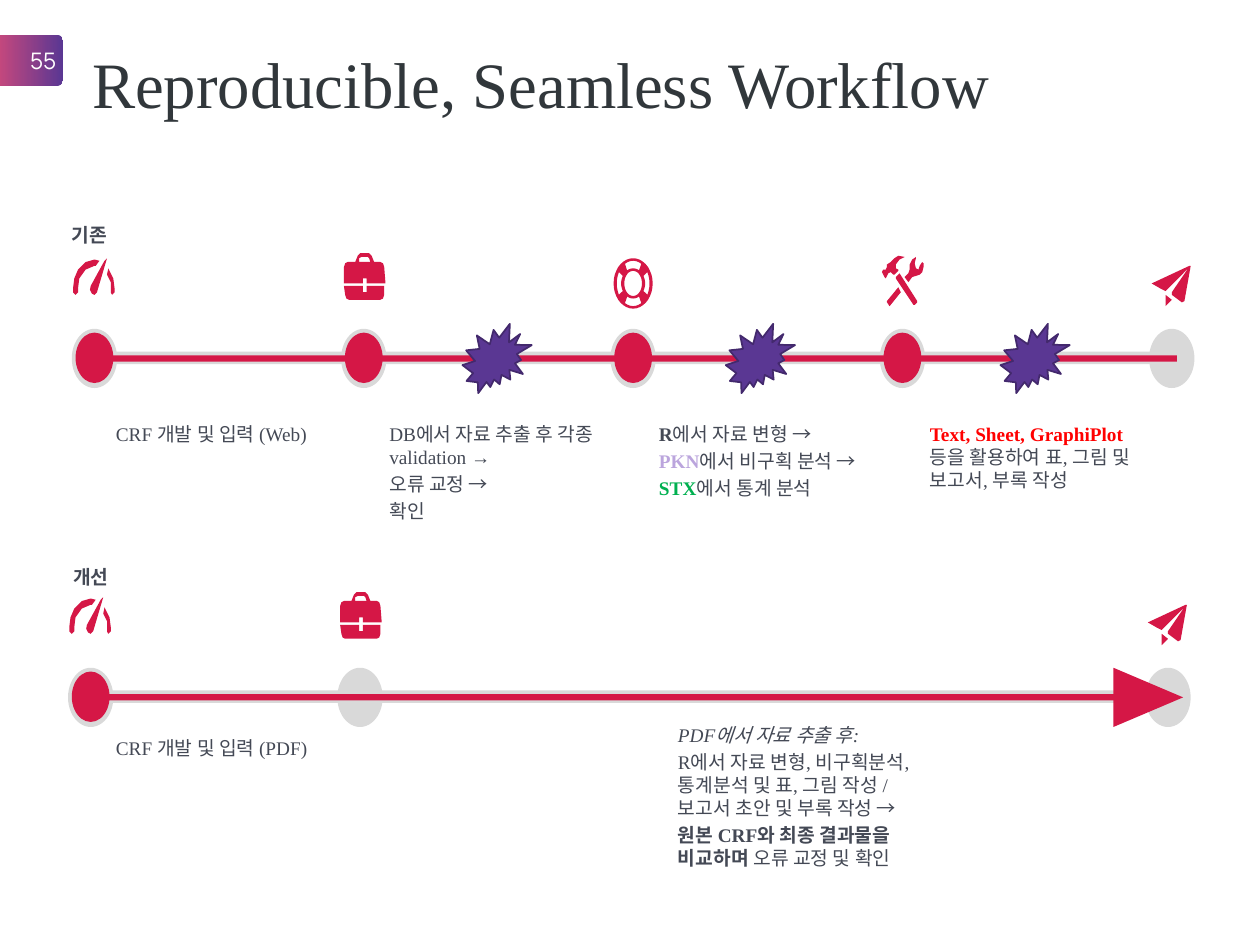
from math import cos, radians, sin

from pptx import Presentation
from pptx.dml.color import RGBColor
from pptx.enum.shapes import MSO_SHAPE
from pptx.enum.text import MSO_ANCHOR, PP_ALIGN
from pptx.util import Inches, Pt

CRIMSON = RGBColor(0xD5, 0x17, 0x46)
GRAY = RGBColor(0xD9, 0xD9, 0xD9)
PURPLE = RGBColor(0x5A, 0x37, 0x93)
DEEP_PURPLE = RGBColor(0x43, 0x29, 0x6D)
PINK = RGBColor(0xEC, 0x4E, 0x75)
INK = RGBColor(0x44, 0x49, 0x55)
TITLE_INK = RGBColor(0x31, 0x37, 0x3B)
WHITE = RGBColor(0xFF, 0xFF, 0xFF)
RED = RGBColor(0xFF, 0, 0)
GREEN = RGBColor(0, 0xB0, 0x50)
LILAC = RGBColor(0xBB, 0xA5, 0xDD)
SERIF = "Times New Roman"

# Content: left, top, width, then paragraphs of (text, format) runs
BOLD = {"bold": True}
NOTES = [
    (0.46, 1.71, 1.89, [[("기존", BOLD)]]),
    (0.81, 3.29, 1.89, [[("CRF 개발 및 입력 (Web)", {})]]),
    (2.98, 3.29, 1.89, [[("DB에서 자료 추출 후 각종 validation →", {})],
                        [("오류 교정 →", {})],
                        [("확인", {})]]),
    (5.12, 3.29, 1.89, [[("R", BOLD), ("에서 자료 변형 →", {})],
                        [("PKN", {"bold": True, "color": LILAC}), ("에서 비구획 분석 →", {})],
                        [("STX", {"bold": True, "color": GREEN}), ("에서 통계 분석", {})]]),
    (7.27, 3.29, 1.89, [[("Text, Sheet, GraphiPlot ", {"bold": True, "color": RED}),
                         ("등을 활용하여 표, 그림 및 보고서, 부록 작성", {})]]),
    (0.47, 4.43, 1.89, [[("개선", BOLD)]]),
    (0.81, 5.78, 1.89, [[("CRF 개발 및 입력 (PDF)", {})]]),
    (5.27, 5.68, 2.23, [[("PDF에서 자료 추출 후:", {"italic": True})],
                        [("R에서 자료 변형, 비구획분석, 통계분석 및 표, 그림 작성 / "
                          "보고서 초안 및 부록 작성 →", {})],
                        [("원본 CRF와 최종 결과물을 비교하며 ", BOLD), ("오류 교정 및 확인", {})]]),
]


def arc(rx, ry, start, end, step=10):
    """Points on an ellipse around the centre of the lifebuoy."""
    turn = step if end > start else -step
    return [(15.5 + rx * cos(radians(a)), 20 + ry * sin(radians(a)))
            for a in range(start, end + turn, turn)]


# Icon outlines in hundredths of an inch
GAUGE = [
    [(14, 22), (13.5, 25), (15, 28), (17, 29), (19, 27), (27, 0), (25, 2)],
    [(17, 6), (18, 6), (21, 2), (17, 1), (10, 3), (4, 9), (1, 16), (0, 24), (0, 27),
     (2, 29), (4, 27), (4, 24), (5, 16), (10, 9)],
    [(28, 8), (27, 13), (30, 19), (30, 27), (31, 29), (33, 27), (33, 24), (32, 16)],
]
BRIEFCASE = [
    [(15, 20), (18, 20), (18, 24), (33, 24), (32, 11), (31, 8), (29, 7), (24, 7), (22, 2),
     (20, 0), (13, 0), (11, 2), (9, 7), (3, 7), (1, 8), (0, 11), (0, 24), (15, 24)],
    [(12, 4), (14, 3), (19, 3), (20, 4), (21, 7), (12, 7)],
    [(18, 31), (15, 31), (15, 26), (0, 26), (1, 33), (2, 36), (4, 37), (29, 37), (31, 36),
     (32, 33), (32, 26), (18, 26)],
]
LIFEBUOY = [arc(15.5, 20, 0, 350), arc(7, 10, 0, 350)] + [
    arc(13, 18, mid - 30, mid + 30) + arc(9.5, 12, mid + 30, mid - 30)
    for mid in (0, 90, 180, 270)]
TOOLS = [
    [(5, 14), (7, 13), (9, 15), (10, 15), (13, 12), (13, 11), (11, 10), (11, 7), (14, 3),
     (18, 1), (13, 0), (10, 2), (7, 5), (4, 7), (4, 9), (3, 11), (1, 11), (0, 13),
     (2, 17), (3, 18), (4, 16)],
    [(14, 14), (11, 17), (11, 18), (25, 39), (26, 39), (28, 37), (28, 36)],
    [(33, 6), (32, 5), (30, 8), (29, 11), (27, 10), (26, 6), (27, 2), (27, 1), (24, 3),
     (22, 7), (22, 11), (21, 14), (18, 17), (21, 21), (24, 17), (27, 16), (30, 15),
     (32, 13), (33, 9)],
    [(4, 36), (4, 37), (6, 40), (7, 39), (15, 29), (13, 25)],
]
PLANE = [
    [(30, 1), (0, 15), (7, 19), (11, 21), (29, 3), (16, 22), (16, 24), (24, 30), (26, 29),
     (31, 1)],
    [(11, 24), (11, 33), (16, 28)],
]
# Station number: icon, left, top on the first timeline
ICONS = {0: (GAUGE, 0.58, 2.05), 1: (BRIEFCASE, 2.73, 2.01), 2: (LIFEBUOY, 4.87, 2.05),
         3: (TOOLS, 7, 2.03), 4: (PLANE, 9.14, 2.1)}
# Timelines: shift right, shift down, stations, stations filled in red
TIMELINES = [(0, 0, (0, 1, 2, 3, 4), (0, 1, 2, 3)),
             (-0.03, 2.69, (0, 1, 4), (0,))]
SEALS = (3.67, 5.76, 7.94)
FIRST_X, PITCH = 0.57, 2.1375

prs = Presentation()
prs.slide_width, prs.slide_height = Inches(10), Inches(7.5)
s = prs.slides.add_slide(prs.slide_layouts[5])


def add_run(p, text, size=11, color=INK, font=SERIF, bold=False, italic=False):
    r = p.add_run()
    r.text = text
    f = r.font
    f.name, f.size, f.bold, f.italic = font, Pt(size), bold, italic
    f.color.rgb = color


def set_frame(tf, x, y, anchor=MSO_ANCHOR.TOP):
    tf.word_wrap = True
    tf.vertical_anchor = anchor
    tf.margin_left = tf.margin_right = Inches(x)
    tf.margin_top = tf.margin_bottom = Inches(y)


def paint(sp, color):
    sp.shadow.inherit = False
    sp.fill.solid()
    sp.fill.fore_color.rgb = color
    sp.line.fill.background()


def add_shape(kind, x, y, w, h, color):
    sp = s.shapes.add_shape(kind, Inches(x), Inches(y), Inches(w), Inches(h))
    paint(sp, color)
    return sp


def add_icon(outlines, x, y):
    first, *others = [[(px * 10, py * 10) for px, py in o] for o in outlines]
    fb = s.shapes.build_freeform(*first[0], scale=Inches(1) / 1000)
    fb.add_line_segments(first[1:], close=True)
    for outline in others:
        fb.move_to(*outline[0])
        fb.add_line_segments(outline[1:], close=True)
    paint(fb.convert_to_shape(Inches(x), Inches(y)), CRIMSON)


# Title
title = s.shapes.title
title.left, title.top, title.width, title.height = map(Inches, (0.69, 0.4, 8.62, 1.45))
set_frame(title.text_frame, 0.04, 0.02)
p = title.text_frame.paragraphs[0]
p.alignment, p.line_spacing = PP_ALIGN.LEFT, 0.9
add_run(p, "Reproducible, Seamless Workflow", size=37, color=TITLE_INK)

# Page number tab
tab = add_shape(MSO_SHAPE.ROUNDED_RECTANGLE, -0.19, 0.28, 0.69, 0.4, PURPLE)
tab.adjustments[0] = 0.108
tab.fill.gradient()
tab.fill.gradient_angle = 180
for stop, color in zip(tab.fill.gradient_stops, (PURPLE, PINK)):
    stop.color.rgb = color
set_frame(tab.text_frame, 0.04, 0.02, MSO_ANCHOR.MIDDLE)
p = tab.text_frame.paragraphs[0]
p.alignment = PP_ALIGN.RIGHT
add_run(p, "55", size=13, color=WHITE, font="Manrope")

# Timelines with their stations and icons
for dx, dy, stations, filled in TIMELINES:
    add_shape(MSO_SHAPE.RECTANGLE, 0.87 + dx, 2.79 + dy, 8.4, 0.1, GRAY)
    for i in stations:
        add_shape(MSO_SHAPE.OVAL, FIRST_X + i * PITCH + dx, 2.61 + dy, 0.36, 0.47, GRAY)
    add_shape(MSO_SHAPE.RECTANGLE, 0.84 + dx, 2.82 + dy, 8.5, 0.05, CRIMSON)
    for i in filled:
        add_shape(MSO_SHAPE.OVAL, FIRST_X + 0.03 + i * PITCH + dx, 2.64 + dy, 0.3, 0.4, CRIMSON)
    for i in stations:
        outlines, x, y = ICONS[i]
        add_icon(outlines, x + dx, y + dy)

# Trouble spots on the first timeline, arrow on the second
for x in SEALS:
    seal = add_shape(MSO_SHAPE.EXPLOSION2, x, 2.57, 0.55, 0.55, PURPLE)
    seal.line.color.rgb, seal.line.width = DEEP_PURPLE, Pt(1)
arrow = add_shape(MSO_SHAPE.RIGHT_ARROW, 0.89, 5.3, 8.5, 0.47, CRIMSON)
arrow.adjustments[0], arrow.adjustments[1] = 0.088, 1.176

# Headings and notes
for x, y, w, paragraphs in NOTES:
    tf = s.shapes.add_textbox(Inches(x), Inches(y), Inches(w), Inches(1.29)).text_frame
    set_frame(tf, 0.11, 0.06)
    for i, runs in enumerate(paragraphs):
        p = tf.add_paragraph() if i else tf.paragraphs[0]
        if i:
            p.space_before = Pt(2.2)
        for text, style in runs:
            add_run(p, text, **style)

prs.save("out.pptx")
